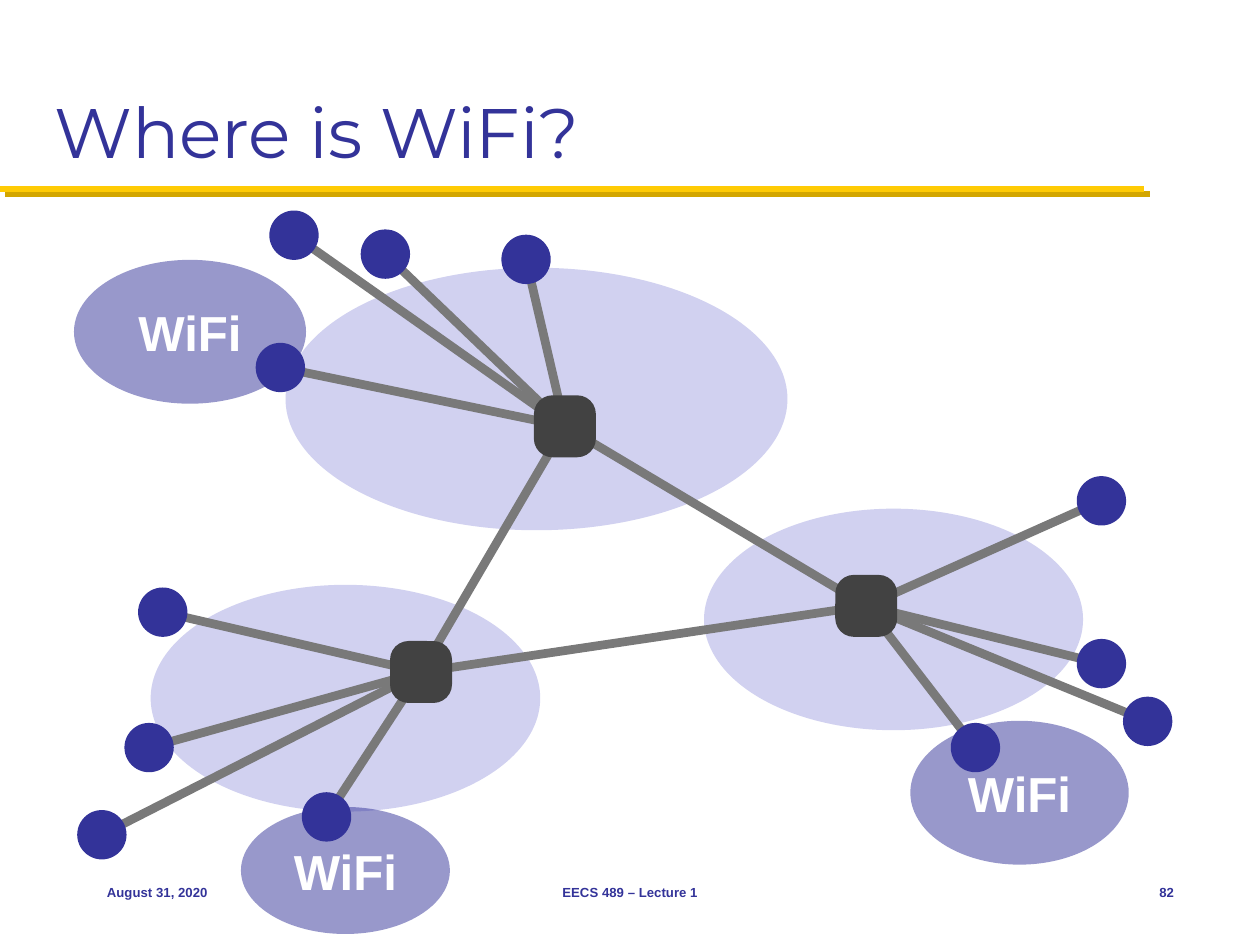
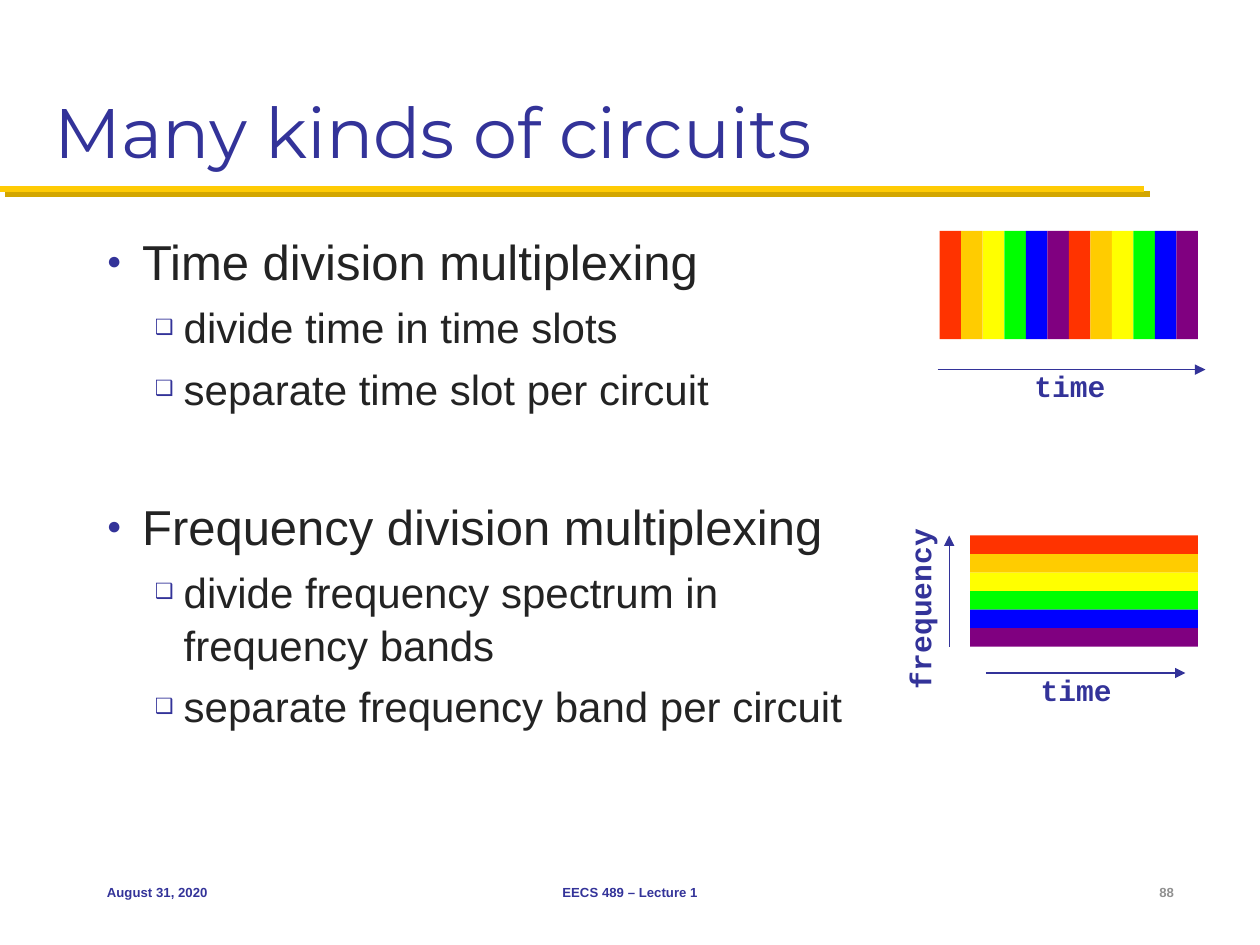
import typing

import lxml.etree
import pptx
import pptx.dml.color
import pptx.enum.shapes
import pptx.enum.text
import pptx.oxml.ns
import pptx.util

RGB = pptx.dml.color.RGBColor
NAVY = RGB(0x33, 0x33, 0x99)
GOLD = RGB(0xFF, 0xCB, 0x05)
OCHRE = RGB(0xD3, 0xA6, 0x00)
INK = RGB(0x23, 0x23, 0x23)
PALE = RGB(0xD1, 0xD1, 0xF0)
GREY = RGB(0x79, 0x79, 0x79)
COAL = RGB(0x42, 0x42, 0x42)
ASH = RGB(0x91, 0x91, 0x91)
WHITE = RGB(0xFF, 0xFF, 0xFF)
BANDS = [RGB(0xFF, 0x33, 0x00), RGB(0xFF, 0xCC, 0x00), RGB(0xFF, 0xFF, 0x00),
         RGB(0x00, 0xFF, 0x00), RGB(0x00, 0x00, 0xFF), RGB(0x80, 0x00, 0x80)]

SHAPE = pptx.enum.shapes.MSO_SHAPE
ALIGN = pptx.enum.text.PP_ALIGN
ANCHOR = pptx.enum.text.MSO_ANCHOR
COLS, ROWS = 120, 90  # grid of twelve cells to the inch


def cell(n):
    return pptx.util.Inches(n / 12)


class Box(typing.NamedTuple):
    """A region of the slide, in grid cells."""
    x: float
    y: float
    w: float
    h: float

    def sub(self, x, y, w, h):
        return Box(self.x + x, self.y + y, w, h)

    def mid(self, x, y, w, h):
        """A box centred on a point of this one."""
        return self.sub(x - w / 2, y - h / 2, w, h)

    def dims(self):
        return [cell(n) for n in self]


PAGE = Box(0, 0, COLS, ROWS)


def tag(parent, name, **attrs):
    node = lxml.etree.SubElement(parent, pptx.oxml.ns.qn("a:" + name))
    for key, value in attrs.items():
        node.set(key, str(value))
    return node


def style(para, size, color, font="Arial", bold=False):
    for run in para.runs:
        run.font.size = pptx.util.Pt(size)
        run.font.name = font
        run.font.bold = bold
        run.font.color.rgb = color


def write(slide, box, text, size, color=NAVY, font="Arial", bold=True,
          align=ALIGN.LEFT, anchor=ANCHOR.MIDDLE):
    shape = slide.shapes.add_textbox(*box.dims())
    frame = shape.text_frame
    frame.text = text
    frame.word_wrap = False
    frame.vertical_anchor = anchor
    frame.paragraphs[0].alignment = align
    style(frame.paragraphs[0], size, color, font, bold)
    return shape


def draw(slide, kind, box, color):
    shape = slide.shapes.add_shape(kind, *box.dims())
    shape.shadow.inherit = False
    shape.fill.solid()
    shape.fill.fore_color.rgb = color
    shape.line.fill.background()
    return shape


def link(slide, start, end, color, width, arrow=False):
    """Draw a line between two grid points and return its effect list."""
    line = slide.shapes.add_connector(
        pptx.enum.shapes.MSO_CONNECTOR.STRAIGHT,
        *[cell(n) for n in (*start, *end)])
    line.line.color.rgb = color
    line.line.width = pptx.util.Pt(width)
    props = line.element.spPr
    if arrow:
        tag(props.find(pptx.oxml.ns.qn("a:ln")), "tailEnd", type="triangle")
    return tag(props, "effectLst")


def frame_page(deck, title, number, tint):
    """Add a slide with title, gold rule and footer."""
    slide = deck.slides.add_slide(deck.slide_layouts[6])
    effects = link(slide, (0, 18), (109, 18), GOLD, 3.5)
    shade = tag(effects, "outerShdw", dist=pptx.util.Pt(4.2), dir=45 * 60000,
                algn="ctr", rotWithShape=0)
    tag(shade, "srgbClr", val=OCHRE)
    write(slide, PAGE.sub(4, 2, 112, 15), title, 40, font="Montserrat",
          bold=False, anchor=ANCHOR.BOTTOM)
    foot = Box(9, 82, 104, 6)
    write(slide, foot.sub(0, 0, 25, 6), "August 31, 2020", 7.5)
    write(slide, foot.sub(32, 0, 38, 6), "EECS 489 – Lecture 1", 7.5,
          align=ALIGN.CENTER)
    write(slide, foot.sub(96, 0, 8, 6), number, 7.5, tint, align=ALIGN.RIGHT)
    return slide


# Each hub with the nodes it serves, as centres in the network box
HUBS = {
    (46.8, 20.6): [(19.7, 15), (21, 2.4), (29.7, 4.2), (43.1, 4.7)],
    (33.1, 44): [(8.5, 38.3), (7.2, 51.2), (2.7, 59.5), (24.1, 57.8)],
    (75.5, 37.7): [(97.9, 27.7), (97.9, 43.2), (102.3, 48.7), (85.9, 51.2)],
}
# Ellipses as centre, width and height
CLOUDS = [(78.1, 39, 36.1, 21.1), (44.1, 18, 47.8, 25), (25.9, 46.5, 37.1, 21.6)]
ZONES = [(25.9, 62.9, 19.9, 12.1), (90.1, 55.5, 20.8, 13.7), (11.1, 11.6, 22.1, 13.7)]


def zone(slide, box):
    """Draw a half-transparent wireless area."""
    shape = draw(slide, SHAPE.OVAL, box, NAVY)
    fill = shape.element.spPr.find(pptx.oxml.ns.qn("a:solidFill"))
    tag(fill[0], "alpha", val=50000)
    frame = shape.text_frame
    frame.margin_left = frame.margin_right = 0
    frame.margin_top = frame.margin_bottom = 0
    frame.text = "WiFi"
    frame.vertical_anchor = ANCHOR.MIDDLE
    frame.paragraphs[0].alignment = ALIGN.CENTER
    style(frame.paragraphs[0], 28.1, WHITE, bold=True)


def network(slide, box):
    for cloud in CLOUDS:
        draw(slide, SHAPE.OVAL, box.mid(*cloud), PALE)
    hubs = list(HUBS)
    pairs = [(hub, node) for hub, nodes in HUBS.items() for node in nodes]
    ring = list(zip(hubs, hubs[1:] + hubs[:1]))
    for start, end in pairs + ring:
        link(slide, box.sub(*start, 0, 0)[:2], box.sub(*end, 0, 0)[:2], GREY, 5)
    for hub in hubs:
        shape = draw(slide, SHAPE.ROUNDED_RECTANGLE, box.mid(*hub, 5.9, 5.9), COAL)
        shape.adjustments[0] = 0.3
    for hub, node in pairs:
        draw(slide, SHAPE.OVAL, box.mid(*node, 4.7, 4.7), NAVY)
    for area in ZONES:
        zone(slide, box.mid(*area))


# Level, text and space before in points
POINTS = [
    (0, "Time division multiplexing", 0),
    (1, "divide time in time slots", 5),
    (1, "separate time slot per circuit", 5),
    (0, "Frequency division multiplexing", 45.5),
    (1, "divide frequency spectrum in\vfrequency bands", 5),
    (1, "separate frequency band per circuit", 5),
]
# Size, bullet, indent and hanging part in inches, for each level
LEVELS = [(28, "●", 0.28, 0.28), (24, "❑", 0.61, 0.23)]


def points(slide, box):
    frame = slide.shapes.add_textbox(*box.dims()).text_frame
    frame.word_wrap = True
    for i, (level, text, gap) in enumerate(POINTS):
        size, mark, indent, hang = LEVELS[level]
        para = frame.add_paragraph() if i else frame.paragraphs[0]
        para.text = text
        para.level = level
        para.line_spacing = 1.05
        para.space_before = pptx.util.Pt(gap)
        props = para._p.get_or_add_pPr()
        props.set("marL", str(pptx.util.Inches(indent)))
        props.set("indent", str(-pptx.util.Inches(hang)))
        tag(tag(props, "buClr"), "srgbClr", val=NAVY)
        tag(props, "buSzPct", val=50000)
        tag(props, "buFont", typeface="Arial")
        tag(props, "buChar", char=mark)
        style(para, size, INK)


def label(slide, box, text):
    return write(slide, box, text, 16.9, font="Courier New",
                 align=ALIGN.CENTER, anchor=ANCHOR.TOP)


def time_axis(slide, box, mid):
    """Draw an arrow along the top of a box, with its label at mid."""
    link(slide, (box.x, box.y), (box.x + box.w, box.y), NAVY, 0.75, True)
    label(slide, box.sub(mid - 4.6, -0.7, 9.2, 4.6), "time")


def slots(slide, box):
    """Draw time slots side by side, in two rounds."""
    colors = BANDS * 2
    step = box.w / len(colors)
    for i, color in enumerate(colors):
        draw(slide, SHAPE.RECTANGLE, box.sub(i * step, 0, step, box.h), color)
    time_axis(slide, box.sub(-0.2, box.h + 2.9, 25.5, 0), 12.6)


def bands(slide, box):
    """Draw frequency bands on top of each other."""
    step = box.h / len(BANDS)
    for i, color in enumerate(BANDS):
        draw(slide, SHAPE.RECTANGLE, box.sub(0, i * step, box.w, step), color)
    time_axis(slide, box.sub(1.5, box.h + 2.5, 19, 0), 8.6)
    left = box.x - 2
    link(slide, (left, box.y + box.h), (left, box.y), NAVY, 0.75, True)
    label(slide, box.mid(-4.8, 7, 17.8, 4.6), "frequency").rotation = 270


def main():
    deck = pptx.Presentation()
    deck.slide_width, deck.slide_height = cell(COLS), cell(ROWS)
    network(frame_page(deck, "Where is WiFi?", "82", NAVY), Box(7, 20, 106, 69))
    slide = frame_page(deck, "Many kinds of circuits", "88", ASH)
    points(slide, Box(9, 21.2, 104, 58))
    slots(slide, Box(89.5, 22, 24.6, 10.3))
    bands(slide, Box(92.4, 51, 21.7, 10.6))
    deck.save("out.pptx")


if __name__ == "__main__":
    main()
